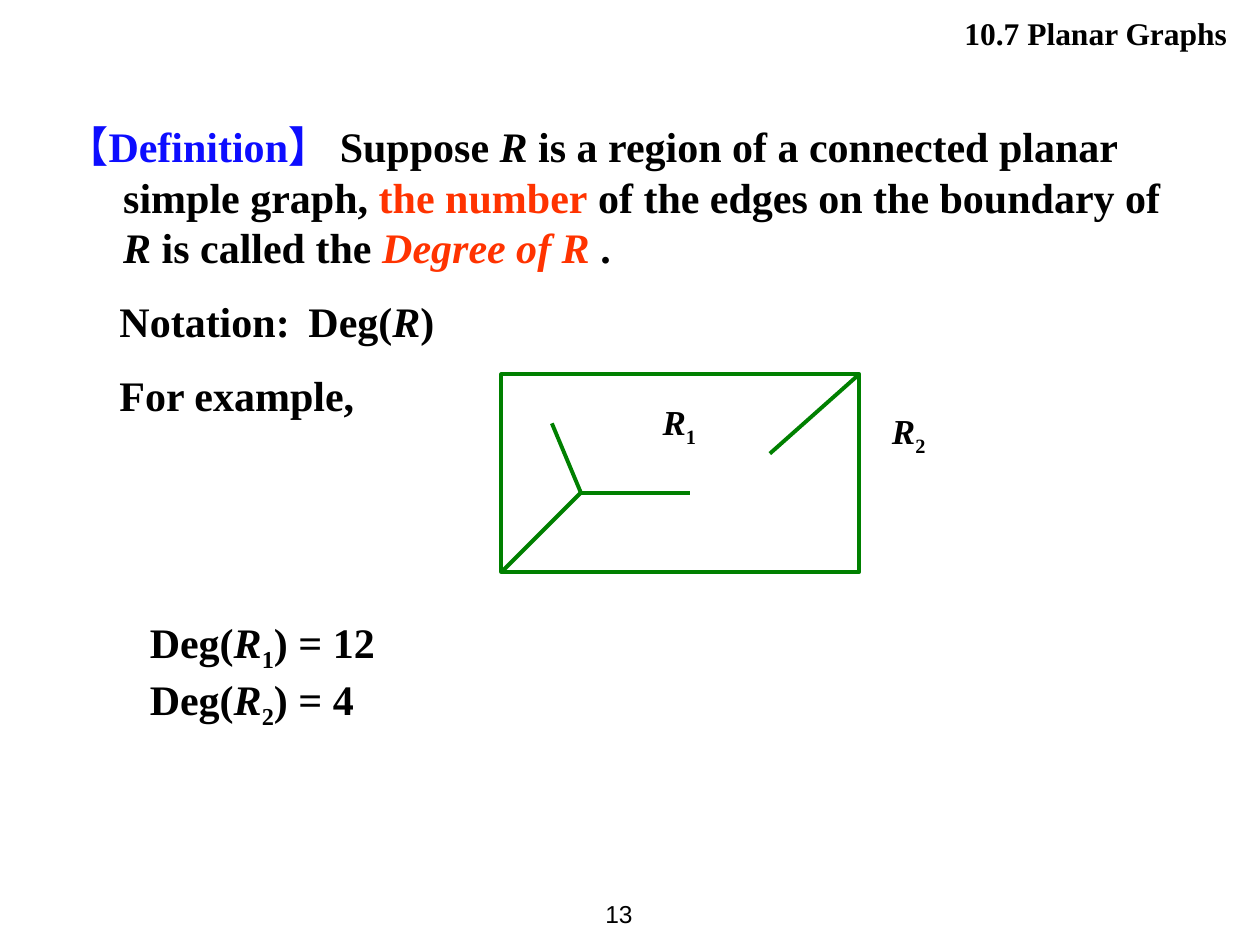
"""Build the slide that defines the degree of a region in a planar graph."""
from lxml.etree import SubElement
from pptx import Presentation
from pptx.dml.color import RGBColor
from pptx.enum.shapes import MSO_CONNECTOR, MSO_SHAPE
from pptx.enum.text import MSO_ANCHOR, MSO_AUTO_SIZE, PP_ALIGN
from pptx.oxml.ns import qn
from pptx.util import Inches, Pt

THEME = {
    "serif": "Times New Roman", "sans": "Arial",
    "ink": "000000", "term": "0D0DFF", "accent": "FF3300", "edge": "008000",
    "title": 18, "body": 24, "label": 20, "number": 14, "edge_width": 2.25,
}
STYLES = {
    "plain": {},
    "term": {"color": "term"},
    "accent": {"color": "accent"},
    "variable": {"italic": True},
    "accent variable": {"color": "accent", "italic": True},
    "subscript": {"baseline": -25},
}

TITLE = [("10.7 Planar Graphs", "plain")]
PAGE_NUMBER = [("13", "plain")]
DEFINITION = [
    ("【Definition】 ", "term"), ("Suppose ", "plain"), ("R", "variable"),
    (" is a region of a connected planar simple graph, ", "plain"),
    ("the number", "accent"), (" of the edges on the boundary of ", "plain"),
    ("R", "variable"), (" is called the ", "plain"),
    ("Degree of R ", "accent variable"), (".", "plain"),
]
NOTATION = [("Notation:\tDeg(", "plain"), ("R", "variable"), (")", "plain")]
EXAMPLE = [("For example,", "plain")]
DEGREES = [("1", 12), ("2", 4)]

BOUNDARY = (3.98, 2.97, 2.84, 1.57)
BRANCH = (4.61, 3.91)
EDGES = [
    ((3.98, 4.54), BRANCH),
    ((4.38, 3.36), BRANCH),
    (BRANCH, (5.48, 3.91)),
    ((6.82, 2.97), (6.11, 3.6)),
]
REGION_LABELS = [("1", 5.16, 3.13), ("2", 6.98, 3.2)]


def colour(name):
    return RGBColor.from_string(THEME[name])


def write(para, spans, size, font="serif", bold=True):
    for text, style_name in spans:
        style = STYLES[style_name]
        span = para.add_run()
        span.text = text
        span.font.name = THEME[font]
        span.font.size = Pt(THEME[size])
        span.font.bold = bold
        span.font.italic = style.get("italic", False)
        span.font.color.rgb = colour(style.get("color", "ink"))
        if "baseline" in style:
            span.font._element.set("baseline", str(style["baseline"] * 1000))


def set_indent(para, margin, first, tab=None):
    properties = para._p.get_or_add_pPr()
    properties.set("marL", str(Inches(margin)))
    properties.set("indent", str(Inches(first)))
    if tab:
        tabs = SubElement(properties, qn("a:tabLst"))
        SubElement(tabs, qn("a:tab"), pos=str(Inches(tab)), algn="l")


def add_box(shapes, bounds, paragraphs, size):
    box = shapes.add_textbox(*map(Inches, bounds))
    frame = box.text_frame
    frame.word_wrap = True
    frame.auto_size = MSO_AUTO_SIZE.SHAPE_TO_FIT_TEXT
    for index, spans in enumerate(paragraphs):
        para = frame.add_paragraph() if index else frame.paragraphs[0]
        write(para, spans, size)
    return frame


def add_title(page):
    title = page.shapes.title
    title.left, title.top, title.width, title.height = map(
        Inches, (3.98, 0.01, 5.86, 0.5))
    frame = title.text_frame
    frame.auto_size = MSO_AUTO_SIZE.NONE
    frame.vertical_anchor = MSO_ANCHOR.MIDDLE
    frame.paragraphs[0].alignment = PP_ALIGN.RIGHT
    write(frame.paragraphs[0], TITLE, "title")


def add_page_number(page):
    box = page.shapes.add_textbox(*map(Inches, (4.45, 7, 0.67, 0.5)))
    frame = box.text_frame
    frame.word_wrap = False
    frame.vertical_anchor = MSO_ANCHOR.MIDDLE
    frame.paragraphs[0].alignment = PP_ALIGN.RIGHT
    write(frame.paragraphs[0], PAGE_NUMBER, "number", "sans", bold=False)


def add_definition(page):
    frame = add_box(page.shapes, (0.35, 0.91, 9.06, 2.52),
                    [DEFINITION, NOTATION, EXAMPLE], "body")
    definition, *details = frame.paragraphs
    set_indent(definition, 0.53, -0.45)
    for para in details:
        para.space_before = Pt(13.5)
    set_indent(details[0], 0, 0.5, tab=2.18)
    set_indent(details[1], 0, 0.5)


def style_line(line):
    line.color.rgb = colour("edge")
    line.width = Pt(THEME["edge_width"])


def add_graph(page):
    graph = page.shapes.add_group_shape().shapes
    boundary = graph.add_shape(MSO_SHAPE.RECTANGLE, *map(Inches, BOUNDARY))
    boundary.shadow.inherit = False
    boundary.fill.background()
    style_line(boundary.line)
    for start, end in EDGES:
        edge = graph.add_connector(MSO_CONNECTOR.STRAIGHT,
                                   *map(Inches, start + end))
        style_line(edge.line)
        SubElement(edge._element.spPr, qn("a:effectLst"))
    for number, left, top in REGION_LABELS:
        spans = [("R", "variable"), (number, "subscript")]
        add_box(graph, (left, top, 0.71, 0.43), [spans], "label")


def add_degrees(page):
    paragraphs = [
        [("Deg(", "plain"), ("R", "variable"), (number, "subscript"),
         (f") = {degree}", "plain")]
        for number, degree in DEGREES
    ]
    add_box(page.shapes, (1.09, 4.84, 5.71, 0.9), paragraphs, "body")


def main():
    deck = Presentation()
    deck.slide_width, deck.slide_height = Inches(10), Inches(7.5)
    page = deck.slides.add_slide(deck.slide_layouts[5])
    add_title(page)
    add_page_number(page)
    add_definition(page)
    add_graph(page)
    add_degrees(page)
    deck.save("out.pptx")


if __name__ == "__main__":
    main()
